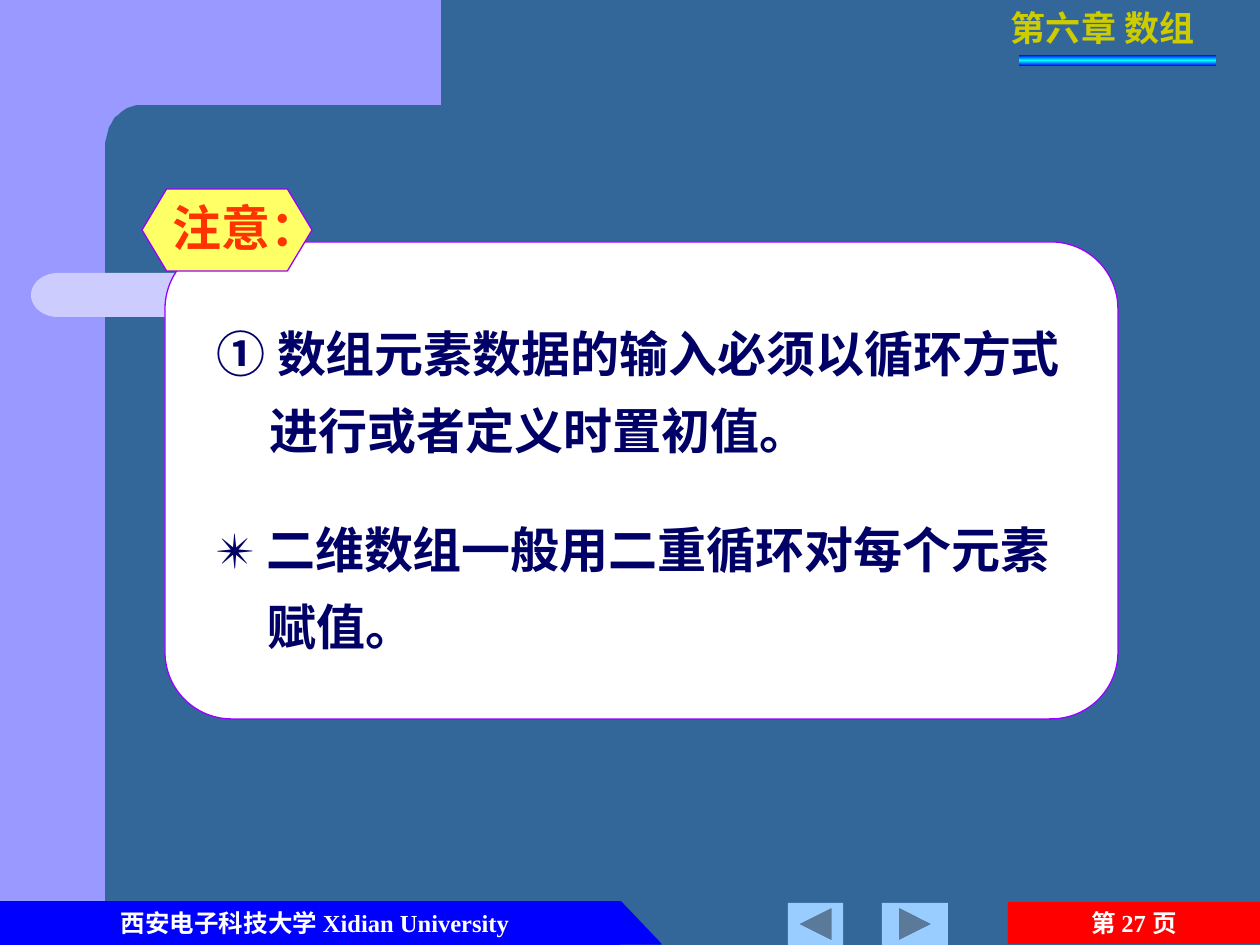
import math

import lxml.etree
import pptx
import pptx.dml.color
import pptx.enum.shapes
import pptx.enum.text
import pptx.oxml.ns
import pptx.util

SCALE = 914400 / 126
SHAPE = pptx.enum.shapes.MSO_SHAPE
ALIGN = pptx.enum.text.PP_ALIGN
ANCHOR = pptx.enum.text.MSO_ANCHOR
LATIN = "Times New Roman"
CHINESE = "Noto Sans CJK SC"


def emu(px):
    """Turn px into EMU."""
    return pptx.util.Emu(round(px * SCALE))


def colour(value):
    """Turn a hex string into a colour."""
    return pptx.dml.color.RGBColor.from_string(value)


def apply(target, values):
    """Set every attribute named in a dict of format values."""
    for name, value in values.items():
        setattr(target, name, value)


class ChapterPage:
    """Hold the style and the current page, with a method per kind of element."""

    def __init__(self, deck, background):
        """Add a page with a title and two body placeholders."""
        self.page = deck.slides.add_slide(deck.slide_layouts[3])
        self.page.background.fill.solid()
        self.page.background.fill.fore_color.rgb = colour(background)
        self.frame = {"word_wrap": True, "auto_size": pptx.enum.text.MSO_AUTO_SIZE.NONE,
                      "margin_left": emu(13), "margin_right": emu(13),
                      "margin_top": emu(6), "margin_bottom": emu(6)}

    def paint(self, shape, fill, line=None):
        """Give a shape a flat fill and an optional thin outline."""
        shape.shadow.inherit = False
        shape.fill.solid()
        shape.fill.fore_color.rgb = colour(fill)
        if line:
            shape.line.color.rgb = colour(line)
            shape.line.width = pptx.util.Pt(0.75)
        else:
            shape.line.fill.background()
        return shape

    def shape(self, kind, at, fill, line=None, adjust=None, rotation=0):
        """Add a preset shape."""
        shape = self.page.shapes.add_shape(kind, *map(emu, at))
        shape.rotation = rotation
        if adjust is not None:
            shape.adjustments[0] = adjust
        return self.paint(shape, fill, line)

    def outline(self, points, fill):
        """Add a closed outline through the given points."""
        builder = self.page.shapes.build_freeform(*points[0], scale=SCALE)
        builder.add_line_segments(points[1:], close=True)
        return self.paint(builder.convert_to_shape(), fill)

    def gradient_bar(self, at, stops):
        """Add a bar with a vertical gradient."""
        bar = self.shape(SHAPE.RECTANGLE, at, stops[0])
        bar.fill.gradient()
        bar.fill.gradient_angle = 270
        stop_list = bar.element.spPr.find(".//" + pptx.oxml.ns.qn("a:gsLst"))
        for stop in list(stop_list):
            stop_list.remove(stop)
        for index, value in enumerate(stops):
            stop = lxml.etree.SubElement(stop_list, pptx.oxml.ns.qn("a:gs"),
                                         pos=str(index * 100000 // (len(stops) - 1)))
            lxml.etree.SubElement(stop, pptx.oxml.ns.qn("a:srgbClr"), val=value)

    def paragraph(self, box, spans, size, ink, align=ALIGN.LEFT, anchor=ANCHOR.TOP, spacing=1.0, hang=0):
        """Put one paragraph of (text, font) spans into a box."""
        apply(box.text_frame, {**self.frame, "vertical_anchor": anchor})
        para = box.text_frame.paragraphs[0]
        properties = para._p.get_or_add_pPr()
        properties.set("marL", str(emu(hang)))
        properties.set("indent", str(-emu(hang)))
        apply(para, {"alignment": align, "line_spacing": spacing, "space_before": pptx.util.Pt(0)})
        lxml.etree.SubElement(properties, pptx.oxml.ns.qn("a:buNone"))
        for text, font in spans:
            span = para.add_run()
            span.text = text
            apply(span.font, {"name": font, "size": pptx.util.Pt(size), "bold": True})
            span.font.color.rgb = colour(ink)

    def text(self, at, spans, size, ink, **style):
        """Add a text box."""
        self.paragraph(self.page.shapes.add_textbox(*map(emu, at)), spans, size, ink, **style)

    def placeholder(self, index, at, spans, size, ink, **style):
        """Move a placeholder to the front and fill it."""
        box = self.page.placeholders[index]
        box.element.getparent().append(box.element)
        apply(box, dict(zip(("left", "top", "width", "height"), map(emu, at))))
        self.paragraph(box, spans, size, ink, **style)


def main():
    """Build the page and save the deck."""
    deck = pptx.Presentation()
    apply(deck, {"slide_width": emu(1260), "slide_height": emu(945)})
    page = ChapterPage(deck, "336699")

    page.shape(SHAPE.RECTANGLE, (0, 0, 105, 945), "9999FF")
    corner = [(140 - 35 * math.sin(angle), 147 - 42 * math.cos(angle))
              for angle in (math.pi / 2 * step / 16 for step in range(17))]
    page.outline([(63, 0), (441, 0), (441, 105), *corner, (105, 161), (63, 161)], "9999FF")
    page.shape(SHAPE.RECTANGLE, (84, 273, 966, 44), "CCCCFF")
    page.shape(SHAPE.FLOWCHART_DELAY, (31, 273, 54, 44), "CCCCFF", rotation=180)

    page.shape(SHAPE.RECTANGLE, (0, 902, 620, 42), "0000FF", "0000FF")
    page.shape(SHAPE.RIGHT_TRIANGLE, (621, 902, 40, 42), "0000FF", "0000FF")
    page.text((36, 902, 558, 42), [("西安电子科技大学 Xidian University", LATIN)],
              14, "FFFFFF", align=ALIGN.CENTER)
    number = page.shape(SHAPE.RECTANGLE, (1008, 902, 252, 42), "FF0000")
    page.paragraph(number, [("第 ", CHINESE), ("27 ", LATIN), ("页", CHINESE)],
                   14, "FFFFFF", align=ALIGN.CENTER, anchor=ANCHOR.MIDDLE)
    for left, width, rotation in ((882, 66, 0), (788, 55, 180)):
        page.shape(SHAPE.ACTION_BUTTON_FORWARD_OR_NEXT, (left, 903, width, 42),
                   "99CCFF", rotation=rotation)

    page.shape(SHAPE.ROUNDED_RECTANGLE, (165, 242, 953, 477), "FFFFFF", "9900FF", adjust=0.14)
    page.shape(SHAPE.HEXAGON, (142, 189, 170, 82), "FFFF66", "9900FF", adjust=0.3)
    page.text((160, 192, 184, 72), [("注意：", LATIN)], 28, "FF3300")
    notes = (((204, 300, 874, 159), "① 数组元素数据的输入必须以循环方式进行或者定义时置初值。"),
             ((202, 496, 898, 159), "✴ 二维数组一般用二重循环对每个元素赋值。"))
    for index, (at, note) in enumerate(notes, start=1):
        page.placeholder(index, at, [(note, LATIN)], 28, "000066", spacing=1.3, hang=53)

    page.placeholder(0, (998, 0, 219, 54), [("第六章 数组", CHINESE)], 20, "CCCC00")
    page.gradient_bar((1019, 55, 197, 11), ("0000FF", "00FFFF", "0000FF"))
    deck.save("out.pptx")


if __name__ == "__main__":
    main()
